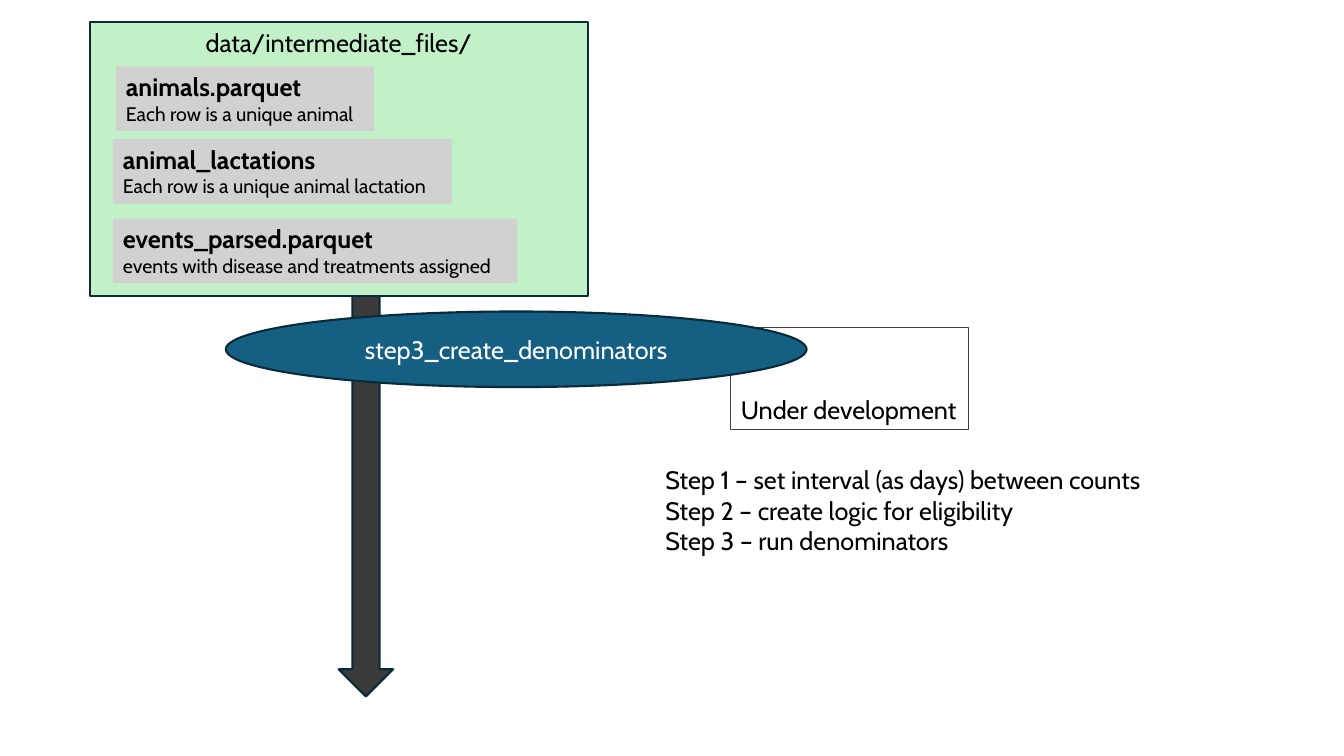
from dataclasses import dataclass
from typing import Optional

from pptx import Presentation, util as u
from pptx.dml.color import RGBColor
from pptx.enum import shapes, text

PX = 9144  # EMU; 100 px to the inch


@dataclass(frozen=True)
class Theme:
    font: str = "Cabin"
    body: int = 18
    small: int = 14
    black: str = "000000"
    white: str = "FFFFFF"
    navy: str = "092A39"
    arrow: str = "3A3A3A"
    folder: str = "C2F1C8"
    file: str = "D1D1D1"
    step: str = "156082"
    note: str = "404040"


T = Theme()
KIND = shapes.MSO_SHAPE
ALIGN = text.PP_ALIGN
ANCHOR = text.MSO_ANCHOR


@dataclass(frozen=True)
class Line:
    text: str
    size: int = T.body
    bold: bool = False


@dataclass(frozen=True)
class Box:
    left: int
    top: int
    width: int
    height: int
    lines: tuple[Line, ...] = ()
    kind: KIND = KIND.RECTANGLE
    fill: Optional[str] = None
    outline: Optional[str] = None
    weight: float = 1.5
    color: str = T.black
    align: ALIGN = ALIGN.LEFT
    anchor: ANCHOR = ANCHOR.TOP
    wrap: bool = False


def file_card(left: int, top: int, width: int, name: str, detail: str) -> Box:
    lines = (Line(name, bold=True), Line(detail, T.small))
    return Box(left, top, width, 64, lines, fill=T.file)


def write_lines(tf, box: Box) -> None:
    tf.word_wrap = box.wrap
    tf.vertical_anchor = box.anchor
    for i, line in enumerate(box.lines):
        p = tf.add_paragraph() if i else tf.paragraphs[0]
        p.text = line.text
        p.alignment = box.align
        p.font.name = T.font
        p.font.size = u.Pt(line.size)
        p.font.bold = line.bold
        p.font.color.rgb = RGBColor.from_string(box.color)


def draw_box(slide, box: Box) -> None:
    """Draw a preset shape, or a plain text box when it has no fill or outline."""
    place = [n * PX for n in (box.left, box.top, box.width, box.height)]
    if box.fill or box.outline:
        sp = slide.shapes.add_shape(box.kind, *place)
        sp.shadow.inherit = False
        if box.fill:
            sp.fill.solid()
            sp.fill.fore_color.rgb = RGBColor.from_string(box.fill)
        else:
            sp.fill.background()
        if box.outline:
            sp.line.color.rgb = RGBColor.from_string(box.outline)
            sp.line.width = u.Pt(box.weight)
        else:
            sp.line.fill.background()
    else:
        sp = slide.shapes.add_textbox(*place)
    if box.lines:
        write_lines(sp.text_frame, box)


BOXES = (
    Box(336, 81, 54, 610, kind=KIND.DOWN_ARROW, fill=T.arrow, outline=T.navy),
    Box(89, 22, 494, 272, (Line("data/intermediate_files/"),), fill=T.folder,
        outline=T.navy, align=ALIGN.CENTER, wrap=True),
    file_card(115, 66, 256, "animals.parquet", "Each row is a unique animal"),
    file_card(112, 138, 336, "animal_lactations", "Each row is a unique animal lactation"),
    file_card(112, 217, 401, "events_parsed.parquet",
              "events with disease and treatments assigned"),
    Box(725, 325, 236, 101, (Line("Under development"),), outline=T.note,
        weight=0.75, anchor=ANCHOR.BOTTOM),
    Box(224, 309, 576, 75, (Line("step3_create_denominators"),), KIND.OVAL, T.step,
        T.navy, color=T.white, align=ALIGN.CENTER, anchor=ANCHOR.MIDDLE, wrap=True),
    Box(650, 456, 512, 101, (
        Line("Step 1 – set interval (as days) between counts"),
        Line("Step 2 – create logic for eligibility"),
        Line("Step 3 – run denominators"),
    )),
)


def main() -> None:
    prs = Presentation()
    prs.slide_width, prs.slide_height = 1333 * PX, 750 * PX
    blank = prs.slide_layouts[6]
    slide = prs.slides.add_slide(blank)
    for box in BOXES:
        draw_box(slide, box)
    prs.save("out.pptx")


if __name__ == "__main__":
    main()
